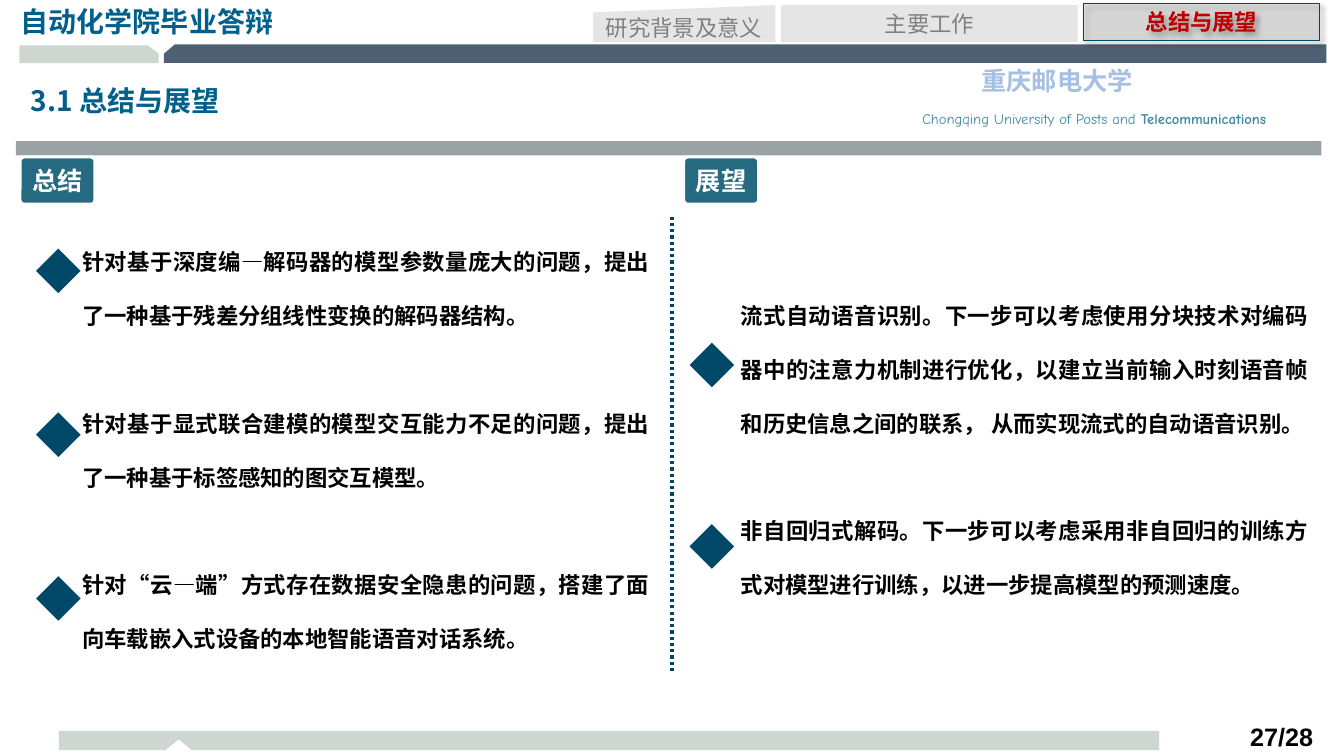
from dataclasses import dataclass

from lxml import etree
from pptx import Presentation
from pptx.dml.color import RGBColor
from pptx.enum.dml import MSO_LINE
from pptx.enum.shapes import MSO_CONNECTOR, MSO_SHAPE
from pptx.enum.text import MSO_ANCHOR, PP_ALIGN
from pptx.oxml.ns import qn
from pptx.util import Emu, Pt

LEFT, CENTER, RIGHT, JUSTIFY = PP_ALIGN.LEFT, PP_ALIGN.CENTER, PP_ALIGN.RIGHT, PP_ALIGN.JUSTIFY
TOP, MIDDLE = MSO_ANCHOR.TOP, MSO_ANCHOR.MIDDLE
RECTANGLE, ROUNDED = MSO_SHAPE.RECTANGLE, MSO_SHAPE.ROUNDED_RECTANGLE
DIAMOND, SLANTED = MSO_SHAPE.DIAMOND, MSO_SHAPE.FLOWCHART_MANUAL_INPUT
STRAIGHT, DOTTED = MSO_CONNECTOR.STRAIGHT, MSO_LINE.ROUND_DOT

COLUMNS, ROWS = 160, 90
CELL = 76200


@dataclass(frozen=True)
class Theme:
    chinese: str = "Noto Sans CJK SC"
    latin: str = "Arial"
    script: str = "Comic Neue"
    black: str = "000000"
    white: str = "FFFFFF"
    gray: str = "808080"
    red: str = "C00000"
    title: str = "00608B"
    school: str = "A5C0E2"
    school_english: str = "4089A0"
    pale: str = "CDD6D1"
    slate: str = "4E6172"
    rule: str = "99A2A5"
    label: str = "256A80"
    navy: str = "004767"
    marker: str = "004868"
    title_size: float = 20
    label_size: float = 18
    body_size: float = 16
    small_size: float = 10.5


def grid(value):
    return Emu(round(value * CELL))


def write(paragraph, text, size, color, font, bold=False, align=LEFT, spacing=None, before=None):
    paragraph.alignment = align
    if spacing:
        paragraph.line_spacing = spacing
    if before:
        paragraph.space_before = Pt(before)
    run = paragraph.add_run()
    run.text = text
    run.font.size = Pt(size)
    run.font.bold = bold
    run.font.name = font
    run.font.color.rgb = RGBColor.from_string(color)
    east_asian = etree.Element(qn("a:ea"), typeface=Theme.chinese)
    run.font._element.find(qn("a:latin")).addnext(east_asian)


class SlideBuilder:
    def __init__(self, presentation, theme):
        self.theme = theme
        self.slide = presentation.slides.add_slide(presentation.slide_layouts[6])

    def text(self, left, top, width, height, texts, anchor=TOP, gap=None, **style):
        box = self.slide.shapes.add_textbox(*map(grid, (left, top, width, height)))
        frame = box.text_frame
        frame.word_wrap = True
        frame.vertical_anchor = anchor
        for index, text in enumerate(texts):
            paragraph = frame.add_paragraph() if index else frame.paragraphs[0]
            write(paragraph, text, before=gap if index else None, **style)
        return frame

    def paint(self, shape, fill, line=None, line_width=1, opacity=None):
        shape.shadow.inherit = False
        shape.fill.solid()
        shape.fill.fore_color.rgb = RGBColor.from_string(fill)
        if opacity:
            color = shape._element.spPr.find(qn("a:solidFill"))[0]
            etree.SubElement(color, qn("a:alpha"), val=str(opacity * 1000))
        if line:
            shape.line.color.rgb = RGBColor.from_string(line)
            shape.line.width = Pt(line_width)
        else:
            shape.line.fill.background()

    def shape(self, kind, left, top, width, height, fill, text=None, style=None, **paint):
        shape = self.slide.shapes.add_shape(kind, *map(grid, (left, top, width, height)))
        self.paint(shape, fill, **paint)
        if text:
            frame = shape.text_frame
            frame.word_wrap = kind != ROUNDED
            frame.vertical_anchor = MIDDLE
            write(frame.paragraphs[0], text, align=CENTER, **style)
        return shape

    def outline(self, points, fill):
        corners = [(grid(column), grid(row)) for column, row in points]
        builder = self.slide.shapes.build_freeform(*corners[0])
        builder.add_line_segments(corners[1:], close=True)
        self.paint(builder.convert_to_shape(), fill)

    def shadow(self, shape, color, opacity, blur, distance, angle):
        effects = shape._element.spPr.find(qn("a:effectLst"))
        outer = etree.SubElement(
            effects, qn("a:outerShdw"), blurRad=str(Pt(blur)), dist=str(Pt(distance)),
            dir=str(angle * 60000), algn="tl", rotWithShape="0")
        shade = etree.SubElement(outer, qn("a:srgbClr"), val=color)
        etree.SubElement(shade, qn("a:alpha"), val=str(opacity * 1000))

    def line(self, start, end, color, width):
        connector = self.slide.shapes.add_connector(STRAIGHT, *map(grid, (*start, *end)))
        connector.line.color.rgb = RGBColor.from_string(color)
        connector.line.width = Pt(width)
        connector.line.dash_style = DOTTED
        etree.SubElement(connector._element.spPr, qn("a:effectLst"))


def add_frame(builder):
    theme = builder.theme
    frame = builder.text(102, 12.5, 56.5, 3, ["Chongqing University of Posts and "],
                         size=theme.small_size, color=theme.school_english,
                         font=theme.script, align=CENTER)
    write(frame.paragraphs[0], "Telecommunications", theme.small_size,
          theme.school_english, theme.script, bold=True, align=CENTER)
    builder.text(105.2, 7.2, 41.3, 4.6, ["重庆邮电大学"], size=theme.label_size,
                 color=theme.school, font=theme.chinese, bold=True, align=CENTER)
    builder.outline([(7, 87), (138, 87), (138, 89.3), (22.8, 89.3),
                     (21.3, 88), (19.7, 89.3), (7, 89.3)], theme.pale)
    builder.outline([(2.3, 5.4), (17.6, 5.4), (18.9, 6.4), (18.9, 7.5), (2.3, 7.5)], theme.pale)
    builder.outline([(20.8, 5.3), (157.9, 5.3), (157.9, 7.5), (19.5, 7.5), (19.5, 6.4)], theme.slate)
    builder.shape(RECTANGLE, 1.9, 16.8, 155.4, 1.7, theme.rule)
    builder.text(143.8, 85.3, 13.7, 2.6, ["27/28"], size=theme.label_size,
                 color=theme.black, font=theme.latin, bold=True, align=RIGHT)
    heading = dict(size=theme.title_size, color=theme.title, font=theme.chinese, bold=True)
    builder.text(1.3, 0, 36, 5.2, ["自动化学院毕业答辩"], **heading)
    builder.text(2.5, 9, 115.9, 6, ["3.1 总结与展望"], anchor=MIDDLE, **heading)


def add_tabs(builder):
    theme = builder.theme
    idle = dict(size=theme.body_size, color=theme.gray, font=theme.chinese)
    current = dict(idle, color=theme.red, bold=True)
    builder.shape(SLANTED, 70.6, 0.6, 21.7, 4.4, theme.gray, "研究背景及意义", idle, opacity=20)
    builder.shape(RECTANGLE, 93, 0.6, 35.3, 4.4, theme.gray, "主要工作", idle, opacity=20)
    tab = builder.shape(RECTANGLE, 129, 0.4, 28.1, 4.4, theme.gray, "总结与展望", current,
                        opacity=20, line=theme.navy)
    builder.shadow(tab, theme.black, 40, 4, 3, 45)


def add_section(builder, label, label_left, text_box, points, marker_left, marker_tops):
    theme = builder.theme
    label_style = dict(size=theme.label_size, color=theme.white, font=theme.latin, bold=True)
    badge = builder.shape(ROUNDED, label_left, 18.7, 8.9, 5.6, theme.label, label,
                          label_style, line=theme.white, line_width=2)
    badge.adjustments[0] = 0.09
    builder.text(*text_box, points, gap=38.5, size=theme.body_size, color=theme.black,
                 font=theme.chinese, bold=True, align=JUSTIFY, spacing=2.0)
    for top in marker_tops:
        builder.shape(DIAMOND, marker_left, top, 5.3, 5.3, theme.marker)


def main():
    presentation = Presentation()
    presentation.slide_width = grid(COLUMNS)
    presentation.slide_height = grid(ROWS)
    builder = SlideBuilder(presentation, Theme())
    add_frame(builder)
    add_tabs(builder)
    add_section(builder, "总结", 2.4, (8.6, 25.8, 70, 52), [
        "针对基于深度编—解码器的模型参数量庞大的问题，提出了一种基于残差分组线性变换的解码器结构。",
        "针对基于显式联合建模的模型交互能力不足的问题，提出了一种基于标签感知的图交互模型。",
        "针对“云—端”方式存在数据安全隐患的问题，搭建了面向车载嵌入式设备的本地智能语音对话系统。",
    ], 4.3, [29.6, 49.1, 68.6])
    builder.line((COLUMNS / 2, 79.9), (COLUMNS / 2, 25.8), builder.theme.navy, 2.25)
    add_section(builder, "展望", 81.4, (87, 32.2, 70, 39), [
        "流式自动语音识别。下一步可以考虑使用分块技术对编码 器中的注意力机制进行优化，"
        "以建立当前输入时刻语音帧和历史信息之间的联系， 从而实现流式的自动语音识别。",
        "非自回归式解码。下一步可以考虑采用非自回归的训练方式对模型进行训练，以进一步提高模型的预测速度。",
    ], 82.1, [40.8, 62.4])
    presentation.save("out.pptx")


if __name__ == "__main__":
    main()
